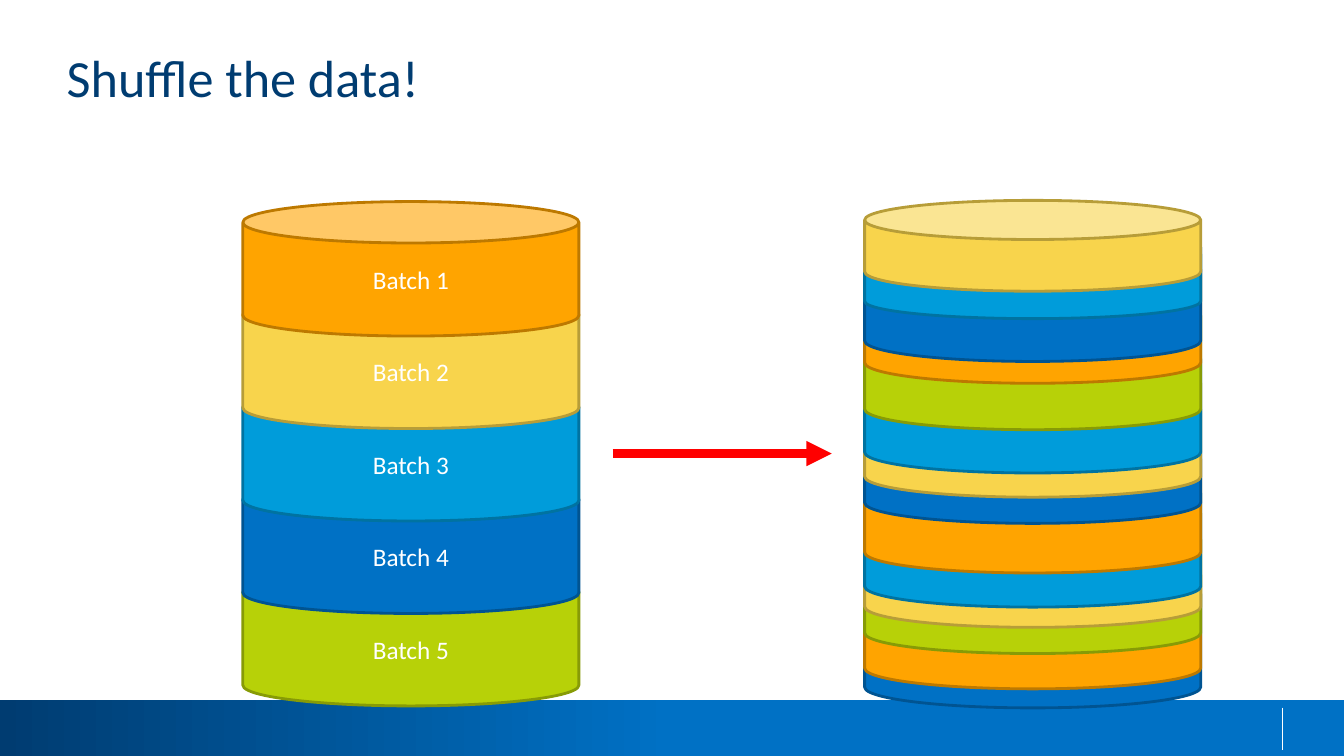
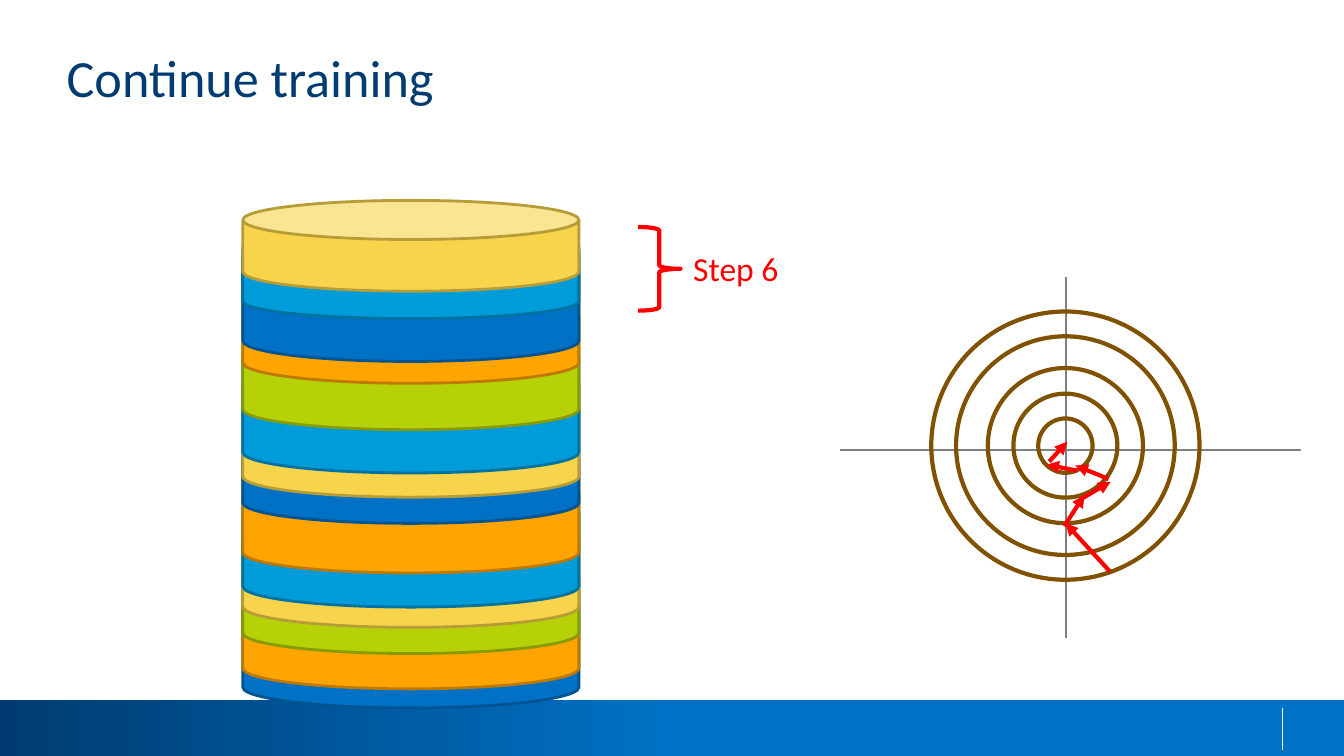
from lxml.etree import SubElement
from pptx import Presentation
from pptx.dml.color import RGBColor
from pptx.enum.shapes import MSO_CONNECTOR, MSO_SHAPE
from pptx.enum.text import MSO_ANCHOR, MSO_AUTO_SIZE, PP_ALIGN
from pptx.oxml.ns import qn
from pptx.util import Cm, Pt

NAVY = RGBColor(0x00, 0x3C, 0x71)
WHITE = RGBColor(0xFF, 0xFF, 0xFF)
RED = RGBColor(0xFF, 0x00, 0x00)
GRAY = RGBColor(0x80, 0x80, 0x80)
BROWN = RGBColor(0x80, 0x52, 0x00)
ORANGE = RGBColor(0xFF, 0xA4, 0x00)
YELLOW = RGBColor(0xF8, 0xD4, 0x4C)
CYAN = RGBColor(0x00, 0x9C, 0xDA)
BLUE = RGBColor(0x00, 0x71, 0xC5)
GREEN = RGBColor(0xB7, 0xD1, 0x08)
EDGES = {
    ORANGE: RGBColor(0xBD, 0x79, 0x00),
    YELLOW: RGBColor(0xB7, 0x9D, 0x38),
    CYAN: RGBColor(0x00, 0x73, 0xA1),
    BLUE: RGBColor(0x00, 0x54, 0x92),
    GREEN: RGBColor(0x87, 0x9B, 0x06),
}

FONT = "Calibri"
TITLE_FONT = {"name": FONT, "size": Pt(37.3)}
BATCH_FONT = {"name": FONT, "size": Pt(18)}
STEP_FONT = {"name": FONT, "size": Pt(24)}

LEFT_STACK, RIGHT_STACK = 6.12, 21.79
CAN_WIDTH, CAN_HEIGHT, CAN_ADJ = 8.47, 3.39, 0.308
BATCH_TOP, BATCH_STEP = 5.08, 2.33
BATCHES = [ORANGE, YELLOW, CYAN, BLUE, GREEN]

# Shuffled layers from bottom to top: top edge, colour, height, rim
SHUFFLED = [(top, color, CAN_HEIGHT, CAN_ADJ) for top, color in [
    (14.45, BLUE), (13.97, ORANGE), (13.08, GREEN), (12.42, YELLOW),
    (11.91, CYAN), (11.05, ORANGE), (9.8, BLUE), (9.14, YELLOW),
    (8.53, CYAN), (7.44, GREEN), (6.27, ORANGE), (5.72, BLUE),
]] + [(5.97, CYAN, 2.06, 0.428), (5.05, YELLOW, 2.29, 0.431)]


def add_line(shapes, ends, color, width, arrow=False):
    c = shapes.add_connector(MSO_CONNECTOR.STRAIGHT, *[Cm(v) for v in ends])
    c.line.color.rgb = color
    c.line.width = Pt(width)
    spPr = c.element.spPr
    if arrow:
        SubElement(spPr.find(qn("a:ln")), qn("a:tailEnd"), type="triangle")
    SubElement(spPr, qn("a:effectLst"))
    return c


def add_can(s, left, top, color, height=CAN_HEIGHT, adj=CAN_ADJ):
    can = s.shapes.add_shape(MSO_SHAPE.CAN, Cm(left), Cm(top),
                             Cm(CAN_WIDTH), Cm(height))
    can.adjustments[0] = adj
    can.shadow.inherit = False
    can.fill.solid()
    can.fill.fore_color.rgb = color
    can.line.color.rgb = EDGES[color]
    can.line.width = Pt(2)
    return can


prs = Presentation()
prs.slide_width, prs.slide_height = Cm(33.87), Cm(19.05)

# Shared layout: title place, footer band and its divider
layout = prs.slide_layouts.get_by_name("Title Only")
title = layout.placeholders[0]
title.left, title.top, title.width, title.height = Cm(1.68), Cm(1.14), Cm(30.48), Cm(3.23)
tf = title.text_frame
tf.margin_left = tf.margin_top = tf.margin_right = tf.margin_bottom = 0
tf.vertical_anchor = MSO_ANCHOR.TOP
tf.auto_size = MSO_AUTO_SIZE.NONE

slides = []
for text in ["Shuffle the data!", "Continue training"]:
    s = prs.slides.add_slide(layout)
    p = s.shapes.title.text_frame.paragraphs[0]
    p.alignment = PP_ALIGN.LEFT
    r = p.add_run()
    r.text = text
    r.font.color.rgb = NAVY
    for name, value in TITLE_FONT.items():
        setattr(r.font, name, value)
    slides.append(s)
shuffle, training = slides

band = shuffle.shapes.add_shape(MSO_SHAPE.RECTANGLE, 0, Cm(17.64), prs.slide_width, Cm(1.41))
band.shadow.inherit = False
band.line.fill.background()
band.fill.gradient()
band.fill.gradient_angle = 0
for stop, color, position in zip(band.fill.gradient_stops, [NAVY, BLUE], [0, 0.5]):
    stop.color.rgb = color
    stop.position = position
divider = add_line(shuffle.shapes, (32.33, 17.83, 32.33, 18.9), WHITE, 0.75)
for shape in [divider, band]:
    layout.shapes.element.insert(2, shape.element)

# Shuffled stack on both slides
for s, left in [(shuffle, RIGHT_STACK), (training, LEFT_STACK)]:
    for top, color, height, adj in SHUFFLED:
        add_can(s, left, top, color, height, adj)

# Slide 1: ordered batches, bottom first, and the arrow
for i, color in reversed(list(enumerate(BATCHES))):
    can = add_can(shuffle, LEFT_STACK, BATCH_TOP + i * BATCH_STEP, color)
    tf = can.text_frame
    tf.vertical_anchor = MSO_ANCHOR.MIDDLE
    p = tf.paragraphs[0]
    p.alignment = PP_ALIGN.CENTER
    r = p.add_run()
    r.text = f"Batch {i + 1}"
    r.font.color.rgb = WHITE
    for name, value in BATCH_FONT.items():
        setattr(r.font, name, value)
add_line(shuffle.shapes, (15.44, 11.43, 20.96, 11.43), RED, 6, arrow=True)

# Slide 2: contour plot
plot = training.shapes.add_group_shape()
for ends in [(21.16, 11.33, 32.79, 11.33), (26.87, 6.99, 26.87, 16.08)]:
    add_line(plot.shapes, ends, GRAY, 1.5)
for size in [6.76, 5.51, 3.91, 2.62, 1.37]:
    ring = plot.shapes.add_shape(MSO_SHAPE.OVAL, Cm(26.85 - size / 2), Cm(11.23 - size / 2),
                                 Cm(size), Cm(size))
    ring.shadow.inherit = False
    ring.fill.background()
    ring.line.color.rgb = BROWN
    ring.line.width = Pt(3)

# Slide 2: descent path, one arrow per training step
for ends in [
    (27.97, 14.4, 26.85, 13.18),
    (26.82, 13.26, 27.33, 12.47),
    (27.25, 12.57, 27.99, 12.14),
    (27.94, 12.07, 27.1, 11.73),
    (27.15, 11.86, 26.37, 11.71),
    (26.44, 11.63, 26.9, 11.13),
]:
    add_line(training.shapes, ends, RED, 3, arrow=True)

# Slide 2: brace and step label
brace = training.shapes.add_shape(MSO_SHAPE.RIGHT_BRACE, Cm(16.08), Cm(5.72), Cm(1.07), Cm(2.11))
brace.shadow.inherit = False
brace.fill.background()
brace.line.color.rgb = RED
brace.line.width = Pt(3)

label = training.shapes.add_textbox(Cm(17.22), Cm(6.12), Cm(3.02), Cm(1.27))
tf = label.text_frame
tf.word_wrap = False
tf.auto_size = MSO_AUTO_SIZE.SHAPE_TO_FIT_TEXT
r = tf.paragraphs[0].add_run()
r.text = "Step 6"
r.font.color.rgb = RED
for name, value in STEP_FONT.items():
    setattr(r.font, name, value)

prs.save("out.pptx")
